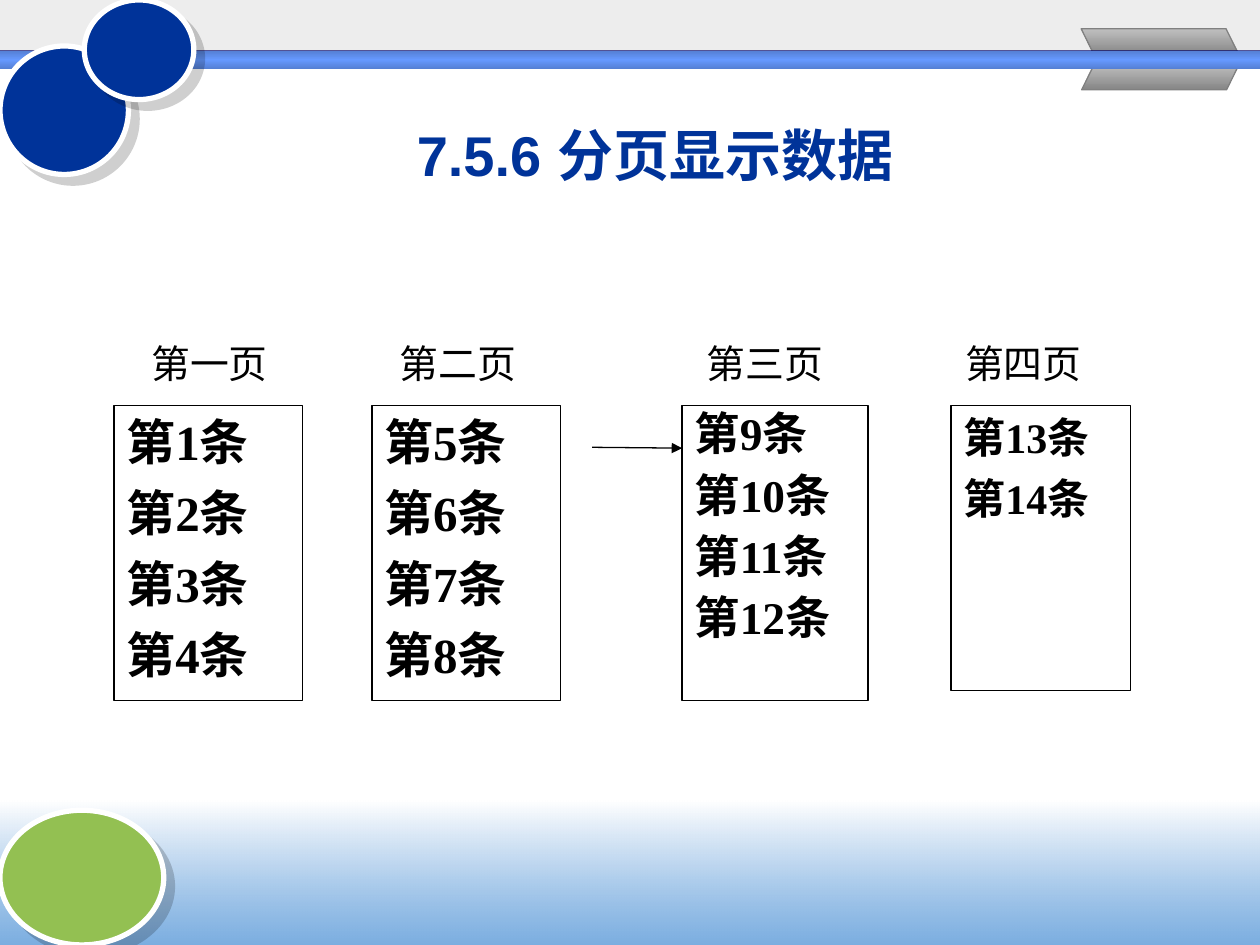
from lxml import etree
from pptx import Presentation
from pptx.dml.color import RGBColor
from pptx.enum.shapes import MSO_CONNECTOR, MSO_SHAPE
from pptx.enum.text import MSO_ANCHOR, PP_ALIGN
from pptx.oxml import parse_xml
from pptx.oxml.ns import nsdecls, qn
from pptx.util import Pt

BLACK = RGBColor(0x00, 0x00, 0x00)
WHITE = RGBColor(0xFF, 0xFF, 0xFF)
NAVY = RGBColor(0x00, 0x33, 0x99)
DARK_NAVY = RGBColor(0x00, 0x00, 0x66)
GREEN = RGBColor(0x93, 0xC0, 0x52)
SKY = RGBColor(0x5E, 0x9C, 0xDA)
BAND_EDGE = RGBColor(0x55, 0x80, 0xD5)
BAND_MIDDLE = RGBColor(0x66, 0x99, 0xFF)
PALE_GRAY = RGBColor(0xEA, 0xEA, 0xEA)
LIGHT_GRAY = RGBColor(0xC0, 0xC0, 0xC0)
DARK_GRAY = RGBColor(0x86, 0x86, 0x86)
LINE_GRAY = RGBColor(0x80, 0x80, 0x80)

TITLE_FONT = "Arial"
BODY_FONT = "Times New Roman"
INDENT = 27


def set_line(shape, color, width):
    shape.line.color.rgb = color
    shape.line.width = Pt(width)


def set_alpha(color_element, percent):
    etree.SubElement(color_element, qn("a:alpha")).set("val", str(percent * 1000))


def set_gradient(shape, stops):
    """Fill from top to bottom with (position, color, opacity) stops."""
    shape.fill.background()
    gradient = parse_xml(
        f'<a:gradFill {nsdecls("a")} rotWithShape="1"><a:gsLst/>'
        '<a:lin ang="5400000" scaled="0"/></a:gradFill>')
    for position, color, opacity in stops:
        stop = etree.SubElement(gradient[0], qn("a:gs"), pos=str(position * 1000))
        set_alpha(etree.SubElement(stop, qn("a:srgbClr"), val=str(color)), opacity)
    no_fill = shape._element.spPr.find(qn("a:noFill"))
    no_fill.getparent().replace(no_fill, gradient)


def add_plain_shape(slide, kind, left, top, width, height, color=WHITE):
    shape = slide.shapes.add_shape(kind, Pt(left), Pt(top), Pt(width), Pt(height))
    shape.shadow.inherit = False
    shape.fill.solid()
    shape.fill.fore_color.rgb = color
    shape.line.fill.background()
    return shape


def add_disc(slide, left, top, width, height, color):
    """Ellipse with a white rim and a soft grey shadow."""
    disc = add_plain_shape(slide, MSO_SHAPE.OVAL, left, top, width, height, color)
    set_line(disc, WHITE, 3)
    effects = disc._element.spPr.find(qn("a:effectLst"))
    shadow = etree.SubElement(effects, qn("a:outerShdw"), dist=str(Pt(7.1)),
                              dir="2700000", algn="ctr", rotWithShape="0")
    set_alpha(etree.SubElement(shadow, qn("a:srgbClr"), val=str(BLACK)), 19)


def add_ribbon_half(slide, left, outer, inner):
    """Slanted half of the ribbon, from its outer edge to its inner edge."""
    builder = slide.shapes.build_freeform(Pt(left + 82.8), Pt(outer))
    builder.add_line_segments(
        [(Pt(left + 90), Pt(inner)), (Pt(left + 7.2), Pt(inner)), (Pt(left), Pt(outer))])
    half = builder.convert_to_shape()
    half.shadow.inherit = False
    set_gradient(half, [(0, LIGHT_GRAY, 100), (100, DARK_GRAY, 100)])
    set_line(half, LINE_GRAY, 0.75)


def add_backdrop(slide, width, height):
    header = add_plain_shape(slide, MSO_SHAPE.RECTANGLE, 0, 0, width, 37.5, PALE_GRAY)
    set_alpha(header.fill._xPr.find(qn("a:solidFill"))[0], 81)
    footer = add_plain_shape(slide, MSO_SHAPE.RECTANGLE, 0, height - 82.8, width, 82.8)
    set_gradient(footer, [(0, WHITE, 100), (100, SKY, 81)])

    add_ribbon_half(slide, 617.8, 16.4, 31)
    add_ribbon_half(slide, 618.1, 51.3, 36.7)
    add_disc(slide, 0, height - 77, 93.6, 77, GREEN)

    add_plain_shape(slide, MSO_SHAPE.RECTANGLE, 0, 28.8, width, 10.1, DARK_NAVY)
    band = add_plain_shape(slide, MSO_SHAPE.RECTANGLE, 0, 29.2, width, 10.1)
    set_gradient(band, [(0, BAND_EDGE, 100), (50, BAND_MIDDLE, 100), (100, BAND_EDGE, 100)])
    add_disc(slide, 0, 26.3, 73.4, 73.4, NAVY)
    add_disc(slide, 48.2, 0, 62.6, 56.9, NAVY)


def add_title(slide, text, left, top, width, height):
    title = slide.shapes.title
    title.left, title.top = Pt(left), Pt(top)
    title.width, title.height = Pt(width), Pt(height)
    frame = title.text_frame
    frame.text = text
    frame.vertical_anchor = MSO_ANCHOR.MIDDLE
    paragraph = frame.paragraphs[0]
    paragraph.alignment = PP_ALIGN.CENTER
    font = paragraph.runs[0].font
    font.name, font.size, font.bold = TITLE_FONT, Pt(32), True
    font.color.rgb = NAVY


def write_lines(shape, lines, size, bold, before, spacing, margins):
    frame = shape.text_frame
    frame.word_wrap = True
    frame.vertical_anchor = MSO_ANCHOR.TOP
    frame.margin_left = frame.margin_right = Pt(margins[0])
    frame.margin_top = frame.margin_bottom = Pt(margins[1])
    frame.text = "\n".join(lines)
    for paragraph in frame.paragraphs:
        paragraph.alignment = PP_ALIGN.JUSTIFY
        paragraph.space_before = Pt(before)
        paragraph.line_spacing = spacing
        properties = paragraph._p.get_or_add_pPr()
        properties.set("marL", str(Pt(INDENT)))
        properties.set("indent", str(-Pt(INDENT)))
        font = paragraph.runs[0].font
        font.name, font.size, font.bold = BODY_FONT, Pt(size), bold
        font.color.rgb = BLACK


def add_record_page(slide, left, top, width, height, numbers, size, before, spacing):
    """Framed list of the records on one page."""
    box = add_plain_shape(slide, MSO_SHAPE.RECTANGLE, left, top, width, height)
    set_line(box, BLACK, 0.75)
    lines = [f"第{number}条" for number in numbers]
    write_lines(box, lines, size, True, before, spacing, (7.2, 3.6))


def add_page_label(slide, text, left, top):
    label = slide.shapes.add_textbox(Pt(left), Pt(top), Pt(85.7), Pt(29.5))
    write_lines(label, [text], 22.2, False, 6, 0.9, (4.3, 0.7))


def add_arrow(slide, start_x, start_y, end_x, end_y):
    arrow = slide.shapes.add_connector(
        MSO_CONNECTOR.STRAIGHT, Pt(start_x), Pt(start_y), Pt(end_x), Pt(end_y))
    set_line(arrow, BLACK, 0.75)
    etree.SubElement(arrow.line._get_or_add_ln(), qn("a:tailEnd"), type="triangle")
    etree.SubElement(arrow._element.spPr, qn("a:effectLst"))


def add_pages(slide, label_top, box_top):
    # label, label left, box left, box width, box height, records, size, before, spacing
    pages = [
        ("第一页", 82.1, 65.1, 107.7, 168.5, range(1, 5), 28, 7, 1.0),
        ("第二页", 223.9, 212.5, 107.7, 168.5, range(5, 9), 28, 7, 1.0),
        ("第三页", 399.6, 389.8, 106.3, 168.5, range(9, 13), 25.9, 7, 0.9),
        ("第四页", 547.2, 543.4, 102.8, 163, range(13, 15), 24, 6, 1.0),
    ]
    for label, label_left, left, width, height, *records in pages:
        add_record_page(slide, left, box_top, width, height, *records)
        add_page_label(slide, label, label_left, label_top)
    add_arrow(slide, 338.4, 255.6, 389.8, 256.1)


def main():
    presentation = Presentation()
    presentation.slide_width, presentation.slide_height = Pt(720), Pt(540)
    slide = presentation.slides.add_slide(presentation.slide_layouts[5])
    add_backdrop(slide, 720, 540)
    add_title(slide, "7.5.6 分页显示数据", 99.4, 60.5, 550, 55.4)
    add_pages(slide, 196.6, 231.7)
    presentation.save("out.pptx")


if __name__ == "__main__":
    main()
